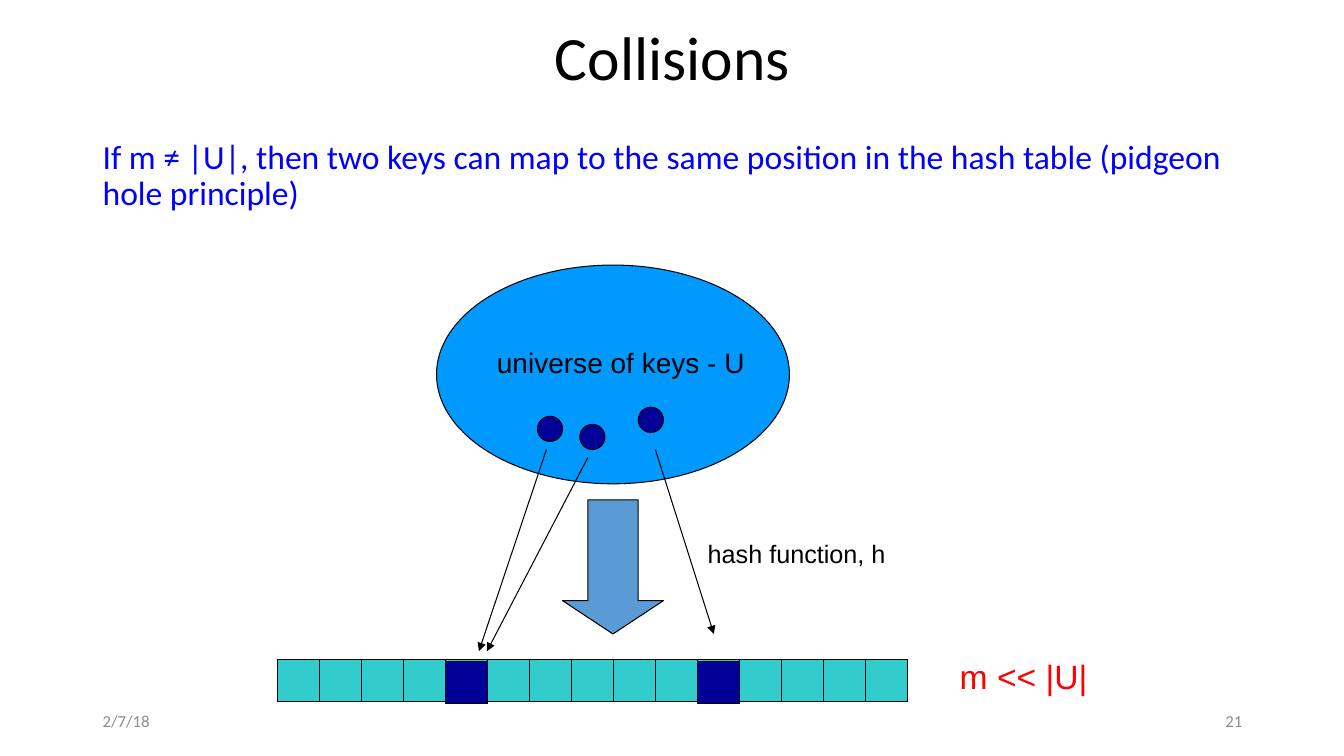
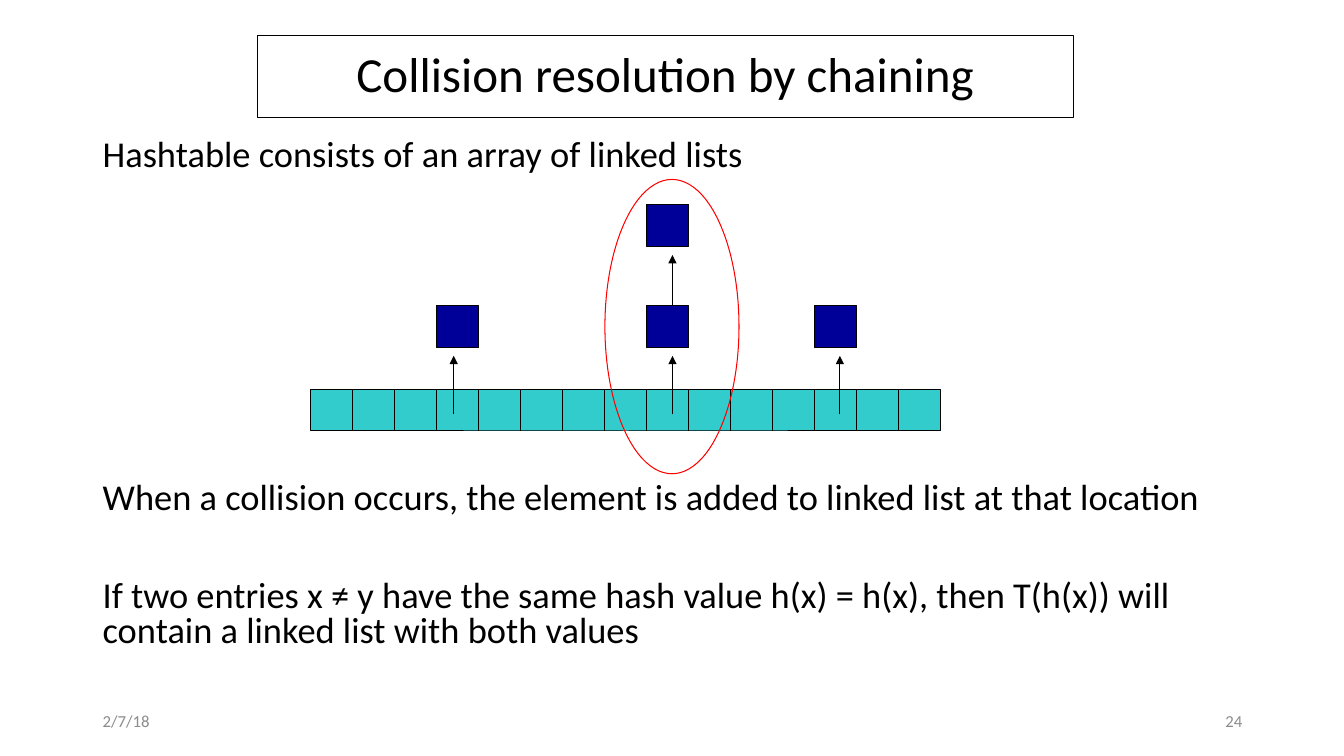
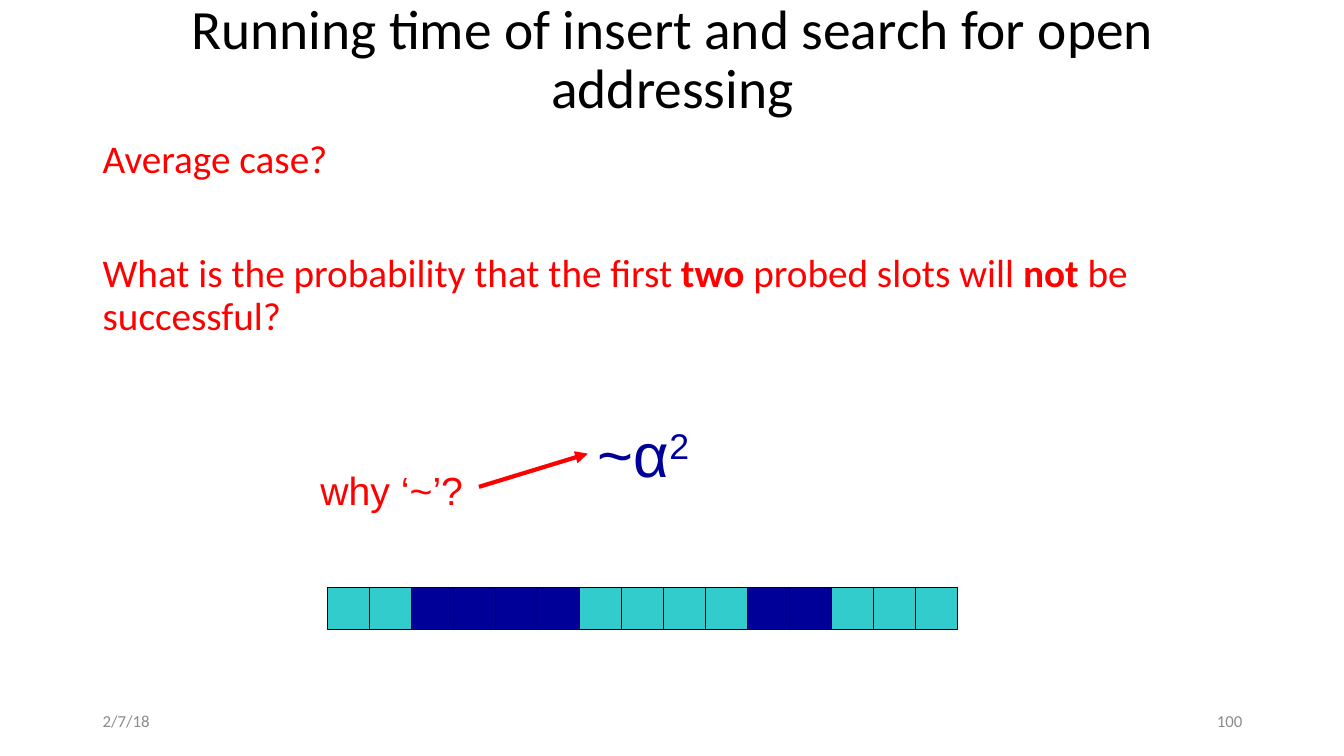
from lxml import etree
from pptx import Presentation
from pptx.dml.color import RGBColor
from pptx.enum import shapes, text
from pptx.oxml import ns
from pptx.util import Inches, Pt

BLACK = RGBColor(0, 0, 0)
GREY = RGBColor(0x8C, 0x8C, 0x8C)
RED = RGBColor(0xFF, 0, 0)
BLUE = RGBColor(0, 0, 0xFF)
NAVY = RGBColor(0, 0, 0x99)
SKY = RGBColor(0, 0x99, 0xFF)
STEEL = RGBColor(0x5B, 0x9B, 0xD5)
TEAL = RGBColor(0x33, 0xCC, 0xCC)

KIND = shapes.MSO_SHAPE
ALIGN = text.PP_ALIGN
ANCHOR = text.MSO_ANCHOR
SLOTS = 15
CELL = 6.25 / SLOTS
TITLE = (0.92, 0.1, 11.5, 1.01)
BODY = (0.92, 1.34, 11.5, 5.42)


def inch(*nums):
    return [Inches(n) for n in nums]


def style(runs, size, color, font):
    for run in runs:
        run.font.name = font
        run.font.size = Pt(size)
        run.font.color.rgb = color


def write(slide, box, words, size, color=BLACK, font="Arial",
          align=ALIGN.LEFT, anchor=ANCHOR.TOP, lead=None):
    shape = slide.shapes.add_textbox(*inch(*box))
    frame = shape.text_frame
    frame.word_wrap = True
    frame.vertical_anchor = anchor
    frame.text = words
    for para in frame.paragraphs:
        para.alignment = align
        if lead:
            para.line_spacing = lead
        style(para.runs, size, color, font)
    return shape


def draw(parent, kind, box, fill=None, line=BLACK):
    shape = parent.shapes.add_shape(kind, *inch(*box))
    shape.shadow.inherit = False
    if fill is None:
        shape.fill.background()
    else:
        shape.fill.solid()
        shape.fill.fore_color.rgb = fill
    shape.line.color.rgb = line
    shape.line.width = Pt(0.75)
    return shape


def link(parent, start, end, color=BLACK, width=0.75, head=True):
    """Straight line, with an arrowhead at its end if head is set."""
    line = parent.shapes.add_connector(
        shapes.MSO_CONNECTOR.STRAIGHT, *inch(*start, *end))
    line.line.color.rgb = color
    line.line.width = Pt(width)
    if head:
        etree.SubElement(line.line._get_or_add_ln(), ns.qn("a:tailEnd"),
                         type="triangle")
    etree.SubElement(line._element.spPr, ns.qn("a:effectLst"))


def block(slide, x, y):
    draw(slide, KIND.RECTANGLE, (x, y, CELL, CELL), NAVY)


def array(slide, x, y, used=(), drop=0):
    """Row of hash table slots; used slots are dark, lowered by drop."""
    group = slide.shapes.add_group_shape()
    draw(group, KIND.RECTANGLE, (x, y, SLOTS * CELL, CELL), TEAL)
    for i in range(1, SLOTS):
        edge = x + i * CELL
        link(group, (edge, y), (edge, y + CELL), head=False)
    for i in used:
        block(slide, x + i * CELL, y + drop)


def start(deck, title, size, number, box=TITLE):
    """New slide with its title, date and number."""
    slide = deck.slides.add_slide(deck.slide_layouts[6])
    head = write(slide, box, title, size, font="Calibri",
                 align=ALIGN.CENTER, anchor=ANCHOR.MIDDLE, lead=0.9)
    for left, words, align in ((0.92, "2/7/18", ALIGN.LEFT),
                               (9.42, number, ALIGN.RIGHT)):
        write(slide, (left, 6.95, 3, 0.4), words, 12, GREY, "Calibri",
              align, ANCHOR.MIDDLE)
    return slide, head


def body(slide, words, size, color=BLACK, lead=0.9, gaps=()):
    """Main text; gaps are the points before each later paragraph."""
    shape = write(slide, BODY, words, size, color, "Calibri", lead=lead)
    paras = shape.text_frame.paragraphs
    for para, gap in zip(paras[1:], gaps):
        para.space_before = Pt(gap)
    return paras


def collide(deck):
    slide, _ = start(deck, "Collisions", 44, "21")
    body(slide, "If m ≠ |U|, then two keys can map to the same position in "
         "the hash table (pidgeon hole principle)", 24, BLUE)
    draw(slide, KIND.OVAL, (4.33, 2.63, 3.5, 2.17), SKY)
    write(slide, (4.83, 3.38, 2.75, 0.43), "universe of keys - U", 20)
    arrow = draw(slide, KIND.DOWN_ARROW, (5.58, 4.96, 1, 1.33), STEEL)
    arrow.adjustments[0] = 0.5
    arrow.adjustments[1] = 0.33
    array(slide, 2.75, 6.54, (4, 10), 0.02)
    write(slide, (9.42, 6.46, 2.25, 0.5), "m << |U|", 24, RED)
    for key, tail, slot in (((5.33, 4.13), (5.42, 4.46), (4.75, 6.46)),
                            ((5.75, 4.21), (5.83, 4.54), (4.83, 6.46)),
                            ((6.33, 4.04), (6.5, 4.46), (7.08, 6.29))):
        draw(slide, KIND.OVAL, (*key, 0.25, 0.25), NAVY)
        link(slide, tail, slot)
    write(slide, (6.92, 5.29, 2.42, 0.4), "hash function, h", 18)


def chain(deck):
    slide, head = start(deck, "Collision resolution by chaining", 35, "24",
                        (2.55, 0.35, 8.1, 0.82))
    head.line.color.rgb = BLACK
    head.line.width = Pt(0.75)
    body(slide, "Hashtable consists of an array of linked lists\n"
         "When a collision occurs, the element is added to linked list at "
         "that location\n"
         "If two entries x ≠ y have the same hash value h(x) = h(x), then "
         "T(h(x)) will contain a linked list with both values",
         26, lead=0.8, gaps=(220, 45))
    left, top = 3.08, 3.86
    array(slide, left, top)
    for slot, x in ((3, 4.5), (8, 6.67), (12, 8.33)):
        link(slide, (x, top + 0.25), (x, top - 0.33))
        block(slide, left + slot * CELL, top - 0.83)
    link(slide, (6.67, 3.03), (6.67, 2.53))
    block(slide, left + 8 * CELL, top - 1.83)
    draw(slide, KIND.OVAL, (6, 1.78, 1.33, 2.92), line=RED)


def probe(deck):
    slide, _ = start(deck, "Running time of insert and search for open "
                     "addressing", 39.6, "100")
    ask = body(slide, "Average case?\nWhat is the probability that the first ",
               28, RED, gaps=(51,))[1]
    for words, bold in (("two", True), (" probed slots will ", False),
                        ("not ", True), ("be successful?", False)):
        run = ask.add_run()
        run.text = words
        run.font.bold = bold
    style(ask.runs, 28, RED, "Calibri")
    array(slide, 3.25, 5.83, (2, 3, 4, 5, 10, 11))
    alpha = write(slide, (5.83, 4.08, 1.25, 0.83), "~α", 44, NAVY)
    power = alpha.text_frame.paragraphs[0].add_run()
    power.text = "2"
    style([power], 44, NAVY, "Arial")
    power._r.get_or_add_rPr().set("baseline", "30000")
    link(slide, (4.75, 4.83), (5.83, 4.5), RED, 3)
    write(slide, (3.08, 4.58, 1.67, 1.04), "why ‘~’?", 28, RED)


def main():
    deck = Presentation()
    deck.slide_width, deck.slide_height = inch(13.33, 7.5)
    for build in (collide, chain, probe):
        build(deck)
    deck.save("out.pptx")


if __name__ == "__main__":
    main()
